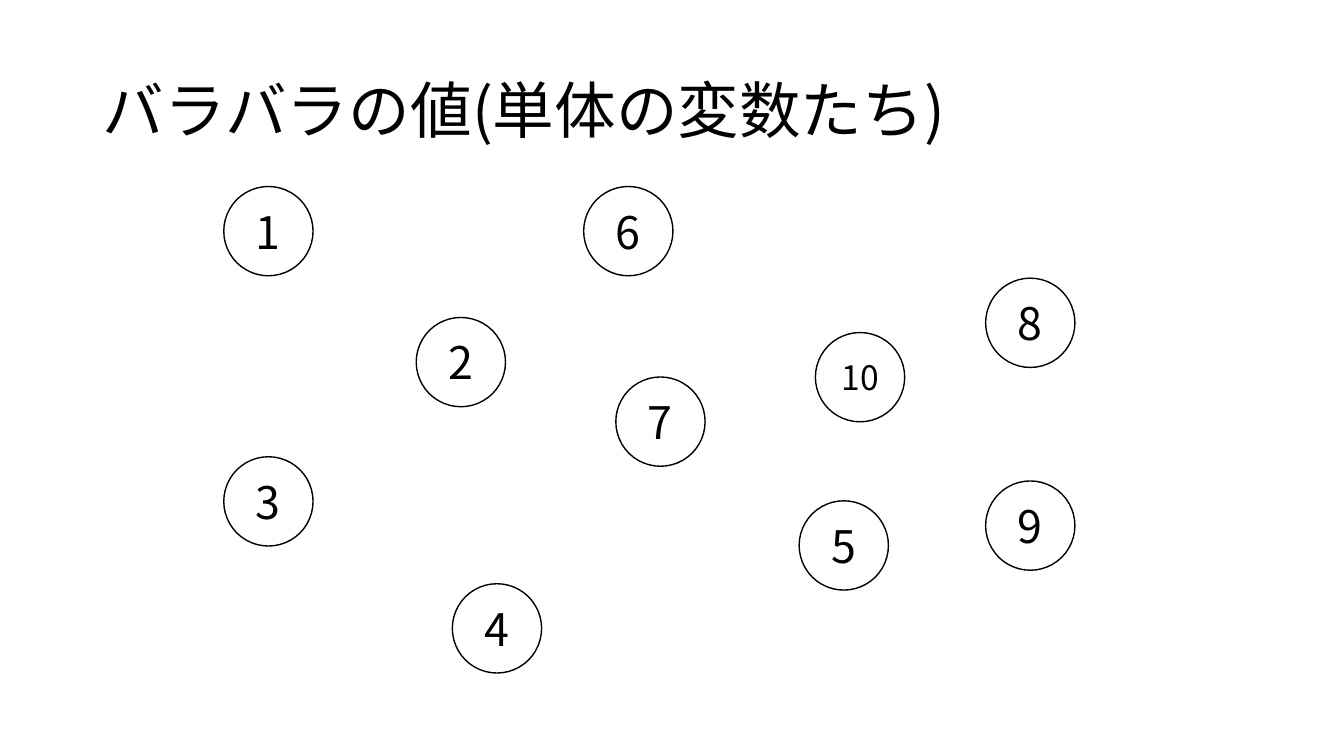
from dataclasses import dataclass

from lxml.etree import SubElement
from pptx import Presentation
from pptx.dml.color import RGBColor
from pptx.enum.shapes import MSO_SHAPE
from pptx.enum.text import MSO_ANCHOR, PP_ALIGN
from pptx.oxml.ns import qn
from pptx.util import Cm, Pt


@dataclass(frozen=True)
class Theme:
    font: str = "Noto Sans CJK JP"
    ink: RGBColor = RGBColor(0x00, 0x00, 0x00)
    paper: RGBColor = RGBColor(0xFF, 0xFF, 0xFF)
    title_size: Pt = Pt(44)
    digit_size: Pt = Pt(32)
    two_digit_size: Pt = Pt(24)
    outline: Pt = Pt(1)


theme = Theme()


def write(frame, text, *, size, align=PP_ALIGN.LEFT, line_spacing=1.0, wrap=True):
    frame.word_wrap = wrap
    frame.vertical_anchor = MSO_ANCHOR.MIDDLE
    paragraph = frame.paragraphs[0]
    paragraph.alignment = align
    paragraph.line_spacing = line_spacing
    run = paragraph.add_run()
    run.text = text
    run.font.size = size
    run.font.color.rgb = theme.ink
    run.font.name = theme.font
    SubElement(run.font._element, qn("a:ea"), typeface=theme.font)


deck = Presentation()
deck.slide_width, deck.slide_height = Cm(33.87), Cm(19.05)
slide = deck.slides.add_slide(deck.slide_layouts[6])

title = slide.shapes.add_textbox(Cm(2.34), Cm(1.02), Cm(29.21), Cm(3.68))
write(title.text_frame, "バラバラの値(単体の変数たち)", size=theme.title_size, line_spacing=0.9)

value_positions = {
    1: (5.64, 4.7),
    2: (10.49, 8),
    3: (5.64, 11.51),
    4: (11.4, 14.71),
    5: (20.14, 12.62),
    6: (14.71, 4.7),
    7: (15.52, 9.5),
    8: (24.84, 7.01),
    9: (24.84, 12.12),
    10: (20.55, 8.38),
}

for value, (left, top) in value_positions.items():
    variable = slide.shapes.add_shape(MSO_SHAPE.OVAL, Cm(left), Cm(top), Cm(2.25), Cm(2.25))
    variable.shadow.inherit = False
    variable.fill.solid()
    variable.fill.fore_color.rgb = theme.paper
    variable.line.color.rgb = theme.ink
    variable.line.width = theme.outline
    size = theme.digit_size if value < 10 else theme.two_digit_size
    write(variable.text_frame, str(value), size=size, align=PP_ALIGN.CENTER)

deck.save("out.pptx")
